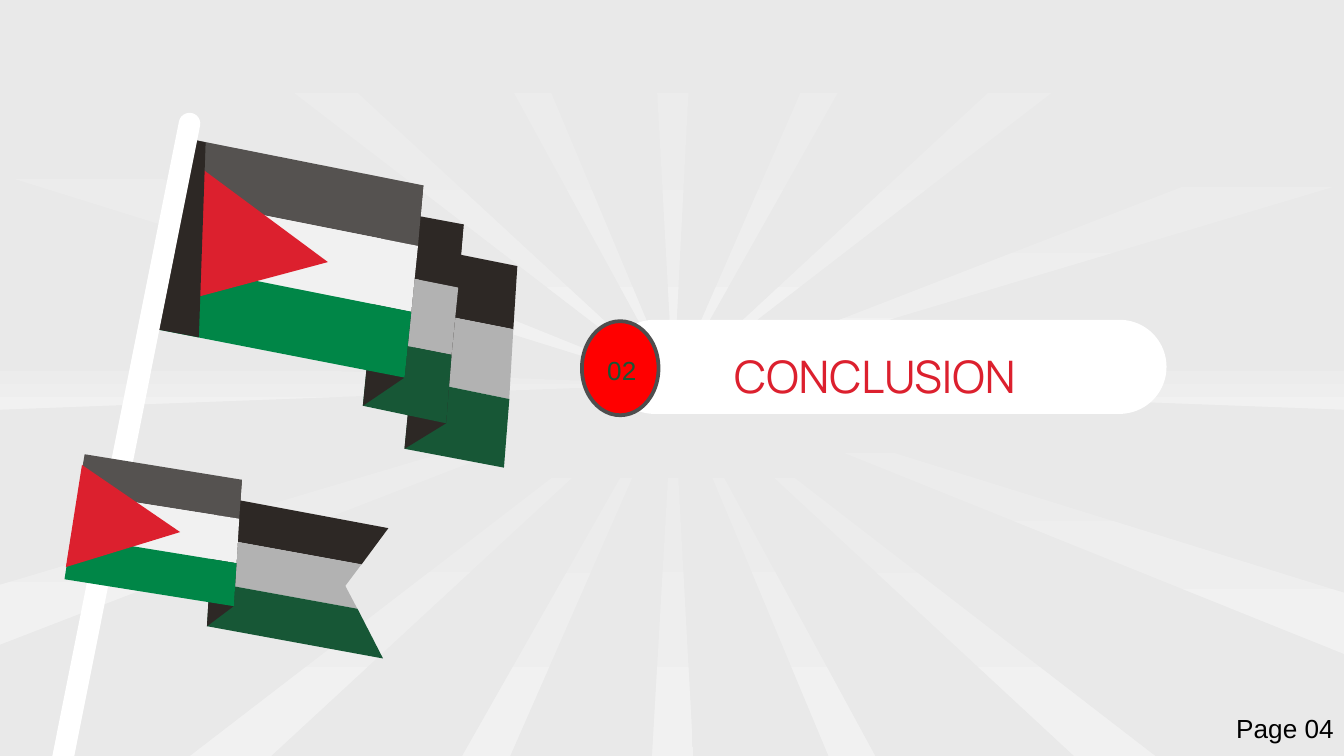
import math
from pptx import Presentation
from pptx.dml.color import RGBColor
from pptx.enum.shapes import MSO_SHAPE
from pptx.enum.text import MSO_ANCHOR, PP_ALIGN
from pptx.util import Inches, Pt

ROUNDED, OVAL = MSO_SHAPE.ROUNDED_RECTANGLE, MSO_SHAPE.OVAL
TOP, MIDDLE = MSO_ANCHOR.TOP, MSO_ANCHOR.MIDDLE
LEFT, CENTER = PP_ALIGN.LEFT, PP_ALIGN.CENTER

W = 10
H = W * 9 / 16
SLIDE_GRID = (1000, 562.5)
FLAGS_GRID = (347, 492)
HEADING_GRID = (435, 70)

PALE, RAY = "E9E9E9", "F1F1F1"
WHITE, RED, GREEN = "FFFFFF", "DC202E", "175736"
DARK = "2D2825"
SHADED = [DARK, "B2B2B2", GREEN]
LIT = ["555250", "F1F1F1", "008647"]

RAY_HUB = (501, 286)
RAYS = [
    [((1006, 266), (1006, 305))],
    [((1006, 489), (1006, 443))],
    [((-6, 82), (-6, 128))],
    [((618, 566), (653, 566))],
    [((343, -3), (380, -3))],
    [((-6, 437), (-6, 482))],
    [((342, 566), (378, 566))],
    [((-6, 266), (-6, 305))],
    [((125, -3), (188, -3)), ((485, -3), (516, -3)),
     ((627, -3), (664, -3)), ((813, -3), (876, -3))],
    [((137, 566), (198, 566))],
    [((1006, 90), (1006, 135))],
    [((803, 566), (864, 566))],
    [((485, 566), (516, 566))],
]

LARGE_FLAG = {
    "grid": (274, 245),
    "panels": [
        ([(204, 81), (200, 128), (195, 179), (190, 231)],
         [(274, 95), (271, 142), (268, 194), (264, 245)]),
        ([(175, 53), (170, 99), (164, 149), (159, 199)],
         [(234, 64), (230, 111), (225, 161), (221, 212)]),
        ([(28, 0), (19, 44), (9, 92), (0, 141)],
         [(204, 35), (200, 80), (195, 129), (190, 178)]),
    ],
    "triangle": [(25, 12), (2, 127), (133, 92)],
    "hoist": [(28, 0), (0, 141), (37, 148), (42, 3)],
}
SMALL_FLAG = {
    "grid": (241, 152),
    "panels": [
        ([(113, 31), (111, 62), (108, 95), (106, 128)],
         [(241, 55), (221, 82), (218, 115), (237, 152)]),
        ([(15, 0), (10, 29), (5, 61), (0, 93)],
         [(132, 19), (130, 48), (128, 81), (126, 113)]),
    ],
    "triangle": [(13, 8), (1, 84), (86, 58)],
    "notch": [(209, 98)],
}


def rgb(color):
    return RGBColor.from_string(color)


def part(box, grid, x, y, cols, rows):
    left, top, width, height = box
    dx, dy = width / grid[0], height / grid[1]
    return left + x * dx, top + y * dy, cols * dx, rows * dy


def polygon(shapes, box, grid, contours, fill=None):
    left, top, width, height = box
    cols, rows = grid
    paths = [[(Inches(left + x * width / cols), Inches(top + y * height / rows))
              for x, y in pts] for pts in contours]
    fb = shapes.build_freeform(*paths[0][0])
    fb.add_line_segments(paths[0][1:])
    for pts in paths[1:]:
        fb.move_to(*pts[0])
        fb.add_line_segments(pts[1:])
    sp = fb.convert_to_shape()
    sp.shadow.inherit = False
    sp.line.fill.background()
    if fill:
        sp.fill.solid()
        sp.fill.fore_color.rgb = rgb(fill)
    return sp


def preset(shapes, kind, box, fill, line=None, width=1):
    sp = shapes.add_shape(kind, *map(Inches, box))
    sp.shadow.inherit = False
    sp.fill.solid()
    sp.fill.fore_color.rgb = rgb(fill)
    if line:
        sp.line.color.rgb = rgb(line)
        sp.line.width = Pt(width)
    else:
        sp.line.fill.background()
    return sp


def text(shapes, box, words, size=14, font="Arial", color="000000",
         align=LEFT, anchor=TOP):
    tf = shapes.add_textbox(*map(Inches, box)).text_frame
    tf.word_wrap = True
    tf.vertical_anchor = anchor
    p = tf.paragraphs[0]
    p.alignment = align
    r = p.add_run()
    r.text = words
    r.font.size = Pt(size)
    r.font.name = font
    r.font.color.rgb = rgb(color)


def sunburst(s, box):
    shapes = s.shapes.add_group_shape().shapes
    for ray in RAYS:
        contours = [[RAY_HUB, a, b, RAY_HUB] for a, b in ray]
        sp = polygon(shapes, box, SLIDE_GRID, contours)
        sp.fill.gradient()
        sp.fill.gradient_angle = 270
        for stop, color in zip(sp.fill.gradient_stops, (PALE, RAY)):
            stop.color.rgb = rgb(color)


def flag(shapes, box, grid, panels, triangle, hoist=None, notch=()):
    for n, (left, right) in enumerate(panels):
        front = n == len(panels) - 1
        for i, color in enumerate(LIT if front else SHADED):
            tip = notch if n == 0 and i == 1 else ()
            stripe = [left[i], right[i], *tip, right[i + 1], left[i + 1], left[i]]
            polygon(shapes, box, grid, [stripe], color)
        if not front:
            fold = left + panels[n + 1][1][::-1] + left[:1]
            polygon(shapes, box, grid, [fold], DARK)
    polygon(shapes, box, grid, [triangle + triangle[:1]], RED)
    if hoist:
        polygon(shapes, box, grid, [hoist + hoist[:1]], DARK)


def pole(shapes, box, radius):
    w, h = box[2:]
    top, foot = (w - radius, radius), (radius, h - radius)
    lean = math.degrees(math.atan2(foot[1] - top[1], foot[0] - top[0]))
    pts = []
    for (x, y), start in ((foot, lean - 90), (top, lean + 90)):
        for step in range(0, 181, 15):
            a = math.radians(start + step)
            pts.append((x + radius * math.cos(a), y + radius * math.sin(a)))
    polygon(shapes, box, (w, h), [pts + pts[:1]], WHITE)


def flags(s, box):
    shapes = s.shapes.add_group_shape().shapes
    flag(shapes, part(box, FLAGS_GRID, 73, 19, 274, 245), **LARGE_FLAG)
    pole(shapes, part(box, FLAGS_GRID, 0, 0, 111, 492), 0.08)
    flag(shapes, part(box, FLAGS_GRID, 10, 254, 241, 152), **SMALL_FLAG)


def heading(s, box, number, title):
    pill = preset(s.shapes, ROUNDED, part(box, HEADING_GRID, 19, 0, 416, 70), WHITE)
    pill.adjustments[0] = 0.5
    text(s.shapes, part(box, HEADING_GRID, -5, -8, 446, 99), title, size=24,
         font="Manrope", color=RED, align=CENTER, anchor=MIDDLE)
    preset(s.shapes, OVAL, part(box, HEADING_GRID, 0, 1, 57, 70), "FF0000",
           line="4E4E4E", width=2)
    text(s.shapes, part(box, HEADING_GRID, 9, 21, 64, 57), number, color=GREEN)


def main():
    prs = Presentation()
    prs.slide_width, prs.slide_height = Inches(W), Inches(H)
    s = prs.slides.add_slide(prs.slide_layouts[6])
    s.background.fill.solid()
    s.background.fill.fore_color.rgb = rgb(PALE)
    slide = (0, 0, W, H)
    sunburst(s, slide)
    flags(s, (0.38, 0.84, 3.47, 4.92))
    heading(s, (4.33, 2.38, 4.35, 0.7), "02", "CONCLUSION")
    text(s.shapes, part(slide, SLIDE_GRID, 910, 525, 137, 34), "Page 04")
    prs.save("out.pptx")


if __name__ == "__main__":
    main()
